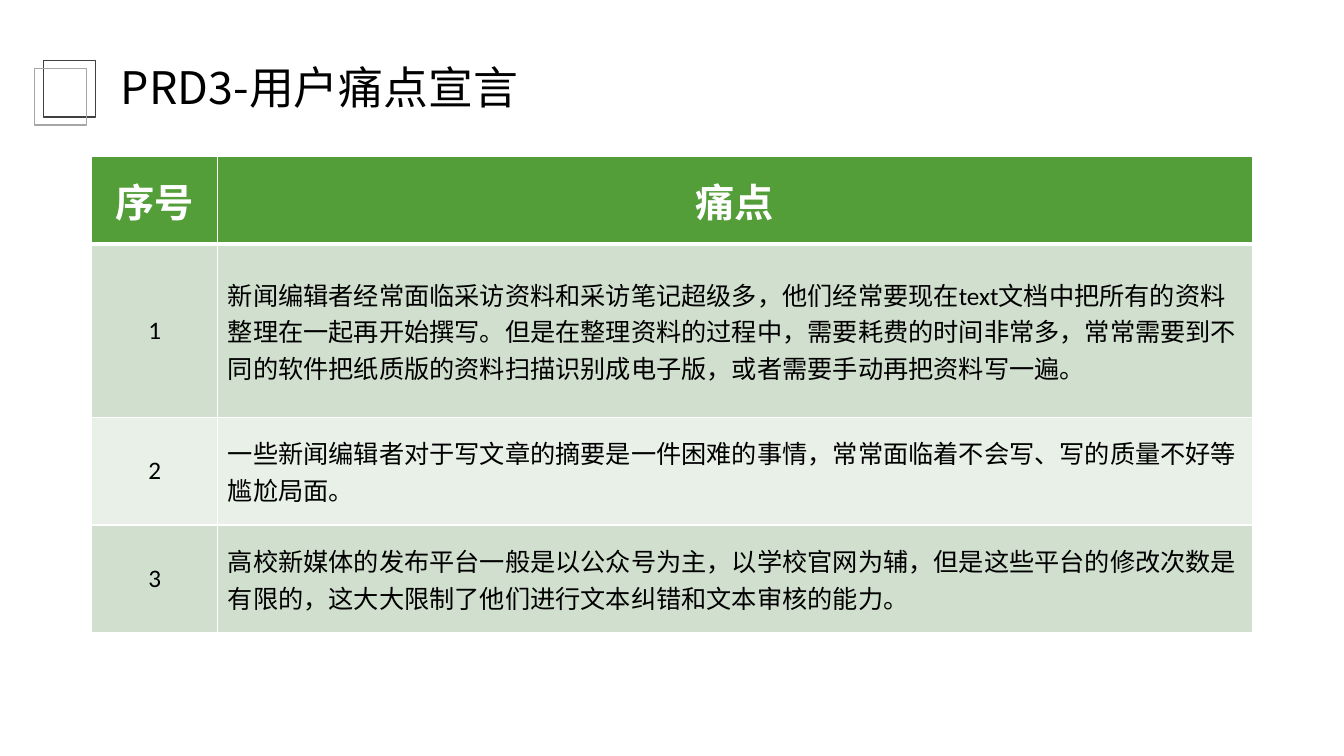
"""Build the user pain point slide with its numbered table."""
from dataclasses import dataclass

from lxml.etree import SubElement
from pptx import Presentation
from pptx.dml.color import RGBColor
from pptx.enum.shapes import MSO_SHAPE as Shape
from pptx.enum.text import MSO_ANCHOR as Anchor, MSO_AUTO_SIZE as AutoSize, PP_ALIGN as Align
from pptx.oxml.ns import qn
from pptx.util import Inches, Pt


@dataclass(frozen=True)
class Theme:
    latin: str = "Calibri"
    cjk: str = "Noto Sans CJK SC"
    black: str = "000000"
    white: str = "FFFFFF"
    header: str = "549E39"
    odd_row: str = "D1DFCE"
    even_row: str = "E9F0E8"
    back_square: str = "404040"
    front_square: str = "A6A6A6"
    title_size: int = 32
    header_size: int = 28
    body_size: int = 18


theme = Theme()


def style_text(para, face, size, color, bold=False):
    font = para.font
    font.name, font.size, font.bold = face, Pt(size), bold
    font.color.rgb = RGBColor.from_string(color)
    latin = para._p.pPr.find(qn("a:defRPr")).find(qn("a:latin"))
    east_asian = latin.makeelement(qn("a:ea"), {"typeface": theme.cjk})
    latin.addnext(east_asian)


def draw_border(cell, side, points):
    line = SubElement(cell._tc.get_or_add_tcPr(), qn(f"a:ln{side}"), w=str(Pt(points)))
    fill = SubElement(line, qn("a:solidFill"))
    SubElement(fill, qn("a:srgbClr"), val=theme.white)


deck = Presentation()
deck.slide_width, deck.slide_height = Inches(13.33), Inches(7.5)
page = deck.slides.add_slide(deck.slide_layouts[6])

for left, top, color in [(0.43, 0.6, theme.back_square), (0.34, 0.68, theme.front_square)]:
    square = page.shapes.add_shape(
        Shape.RECTANGLE, Inches(left), Inches(top), Inches(0.52), Inches(0.56))
    square.shadow.inherit = False
    square.fill.background()
    square.line.color.rgb = RGBColor.from_string(color)
    square.line.width = Pt(1)

title = page.shapes.add_textbox(Inches(1.1), Inches(0.54), Inches(4.54), Inches(0.64))
title.text_frame.word_wrap = True
title.text_frame.auto_size = AutoSize.SHAPE_TO_FIT_TEXT
title_para = title.text_frame.paragraphs[0]
title_para.text = "PRD3-用户痛点宣言"
style_text(title_para, theme.cjk, theme.title_size, theme.black)

pain_points = [
    "新闻编辑者经常面临采访资料和采访笔记超级多，他们经常要现在text文档中把所有的资料整理在一起再开始撰写。"
    "但是在整理资料的过程中，需要耗费的时间非常多，常常需要到不同的软件把纸质版的资料扫描识别成电子版，"
    "或者需要手动再把资料写一遍。",
    "一些新闻编辑者对于写文章的摘要是一件困难的事情，常常面临着不会写、写的质量不好等尴尬局面。",
    "高校新媒体的发布平台一般是以公众号为主，以学校官网为辅，但是这些平台的修改次数是有限的，"
    "这大大限制了他们进行文本纠错和文本审核的能力。",
]
rows = [("序号", "痛点")]
rows += [(str(number), text) for number, text in enumerate(pain_points, 1)]
column_widths = [1.25, 10.26]
row_heights = [0.87, 1.72, 1.07, 1.07]

table = page.shapes.add_table(
    len(rows), len(column_widths), Inches(0.91), Inches(1.55),
    Inches(sum(column_widths)), Inches(sum(row_heights))).table
for column, width in zip(table.columns, column_widths):
    column.width = Inches(width)

for row_index, (row, height) in enumerate(zip(rows, row_heights)):
    table.rows[row_index].height = Inches(height)
    is_header = row_index == 0
    if is_header:
        row_fill = theme.header
    else:
        row_fill = theme.odd_row if row_index % 2 else theme.even_row
    for column_index, text in enumerate(row):
        cell = table.cell(row_index, column_index)
        for side in "LRTB":
            thick = (is_header and side == "B") or (row_index == 1 and side == "T")
            draw_border(cell, side, 3 if thick else 1)
        cell.fill.solid()
        cell.fill.fore_color.rgb = RGBColor.from_string(row_fill)
        cell.vertical_anchor = Anchor.MIDDLE
        para = cell.text_frame.paragraphs[0]
        para.text = text
        para.alignment = Align.CENTER if is_header or column_index == 0 else Align.LEFT
        if is_header:
            style_text(para, theme.latin, theme.header_size, theme.white, bold=True)
        else:
            style_text(para, theme.latin, theme.body_size, theme.black)

deck.save("out.pptx")
